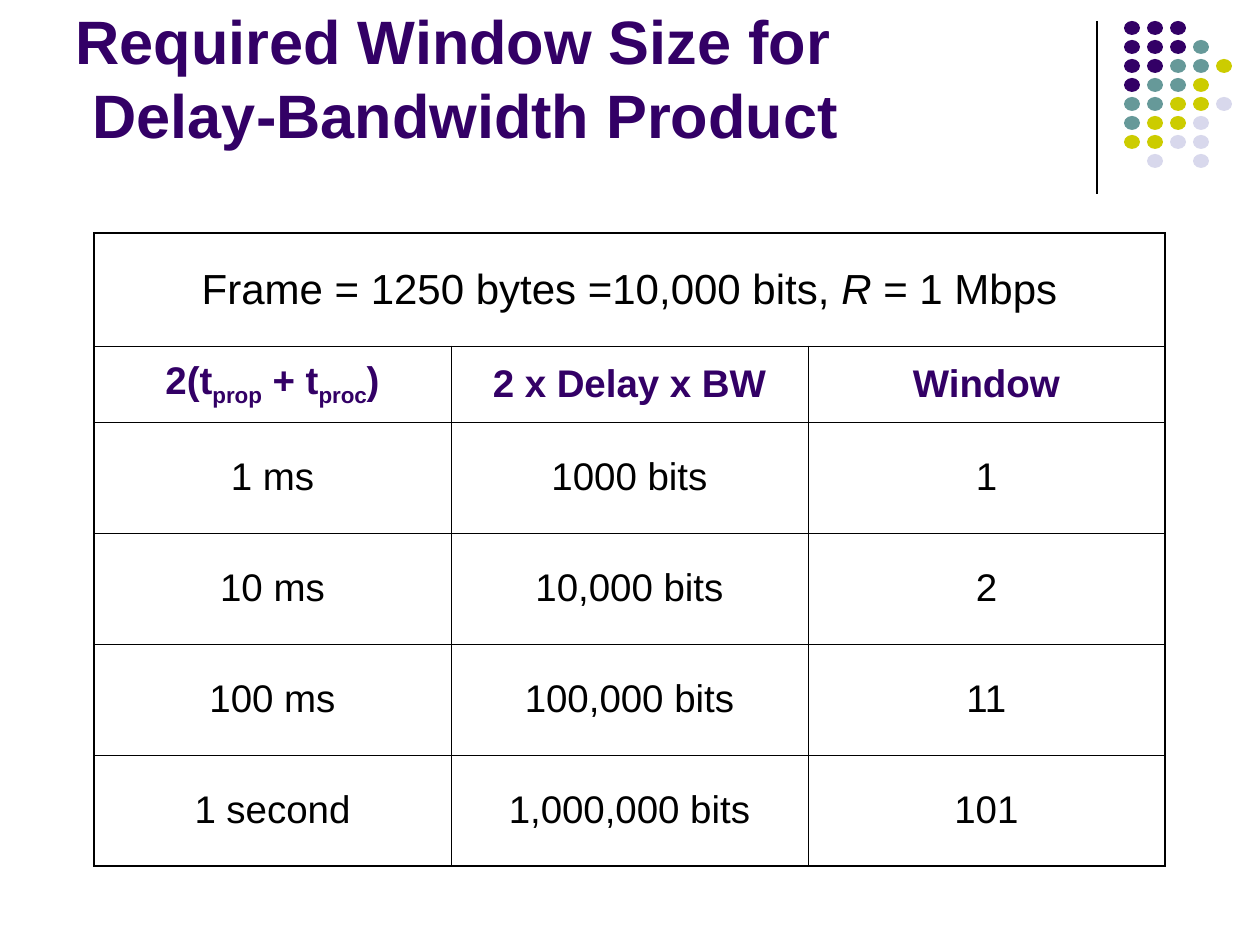
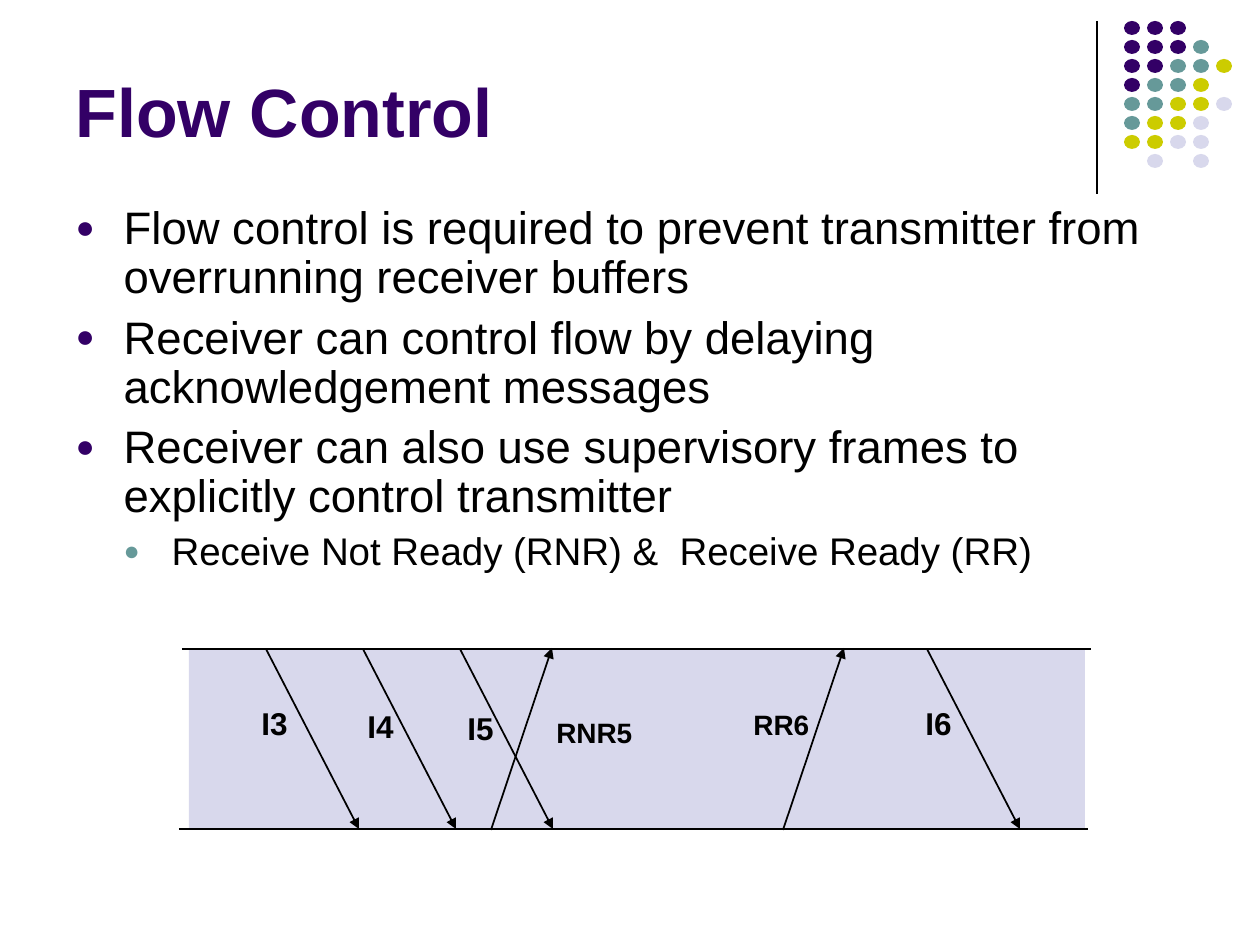
from lxml import etree
from pptx import Presentation
from pptx.dml.color import RGBColor
from pptx.enum.shapes import MSO_CONNECTOR, MSO_SHAPE
from pptx.enum.text import MSO_ANCHOR, MSO_AUTO_SIZE, PP_ALIGN
from pptx.oxml.ns import qn
from pptx.util import Pt

STRAIGHT = MSO_CONNECTOR.STRAIGHT
OVAL, RECT = MSO_SHAPE.OVAL, MSO_SHAPE.RECTANGLE
MIDDLE, BOTTOM = MSO_ANCHOR.MIDDLE, MSO_ANCHOR.BOTTOM
LEFT, CENTER = PP_ALIGN.LEFT, PP_ALIGN.CENTER
NO_FIT, GROW = MSO_AUTO_SIZE.NONE, MSO_AUTO_SIZE.SHAPE_TO_FIT_TEXT

PURPLE = RGBColor(0x33, 0x00, 0x66)
TEAL = RGBColor(0x66, 0x99, 0x99)
OLIVE = RGBColor(0xCC, 0xCC, 0x00)
LILAC = RGBColor(0xD8, 0xD8, 0xEC)
BLACK = RGBColor(0x00, 0x00, 0x00)
FONT = "Arial"

# Shared decoration: one letter per dot
DOTS = ["PPP", "PPPT", "PPTTY", "PTTY", "TTYYL", "TYYL", "YYLL", " L L"]
DOT_COLORS = {"P": PURPLE, "T": TEAL, "Y": OLIVE, "L": LILAC}

# Slide 1: each cell is a list of (text, style) runs
WINDOW_TITLE = ["Required Window Size for", " Delay-Bandwidth Product"]
CAPTION = [("Frame = 1250 bytes =10,000 bits, ", ""), ("R", "italic"), (" = 1 Mbps", "")]
HEADINGS = [
    [("2(t", ""), ("prop", "sub"), (" + t", ""), ("proc", "sub"), (")", "")],
    [("2 x Delay x BW", "")],
    [("Window", "")],
]
WINDOWS = [
    ("1 ms", "1000 bits", "1"),
    ("10 ms", "10,000 bits", "2"),
    ("100 ms", "100,000 bits", "11"),
    ("1 second", "1,000,000 bits", "101"),
]
ROW_HEIGHTS = [113, 76] + [111] * len(WINDOWS)
COL_WIDTH = 357

# Slide 2: (level, text) bullets and the frame exchange
FLOW_TITLE = ["Flow Control"]
BULLETS = [
    (0, "Flow control is required to prevent transmitter from overrunning receiver buffers"),
    (0, "Receiver can control flow by delaying acknowledgement messages"),
    (0, "Receiver can also use supervisory frames to explicitly control transmitter"),
    (1, "Receive Not Ready (RNR) &  Receive Ready (RR)"),
]
LEVELS = [(26, 6.5, PURPLE), (22, 5.5, TEAL)]  # size, space before, bullet colour
INDENT = 48
SENDER_Y, RECEIVER_Y = 649, 829
INFO_STARTS, INFO_RUN = [266, 363, 460, 927], 93
REPLY_STARTS, REPLY_RUN = [491, 783], 61
LABELS = [  # text, left, top, width, height, size
    ("I3", 249, 698, 52, 50, 18),
    ("I4", 355, 701, 52, 50, 18),
    ("I5", 455, 703, 52, 50, 18),
    ("I6", 913, 698, 52, 50, 18),
    ("RNR5", 544, 709, 101, 45, 16),
    ("RR6", 741, 701, 81, 45, 16),
]


def px(n):
    return round(n * 914400 / 126)


def box(*lengths):
    return [px(n) for n in lengths]


def add_run(p, text, size, color, bold=False):
    r = p.add_run()
    r.text = text
    r.font.name, r.font.size, r.font.bold = FONT, Pt(size), bold
    r.font.color.rgb = color
    return r


def add_filled(shapes, kind, color, *at):
    s = shapes.add_shape(kind, *box(*at))
    s.shadow.inherit = False
    s.fill.solid()
    s.fill.fore_color.rgb = color
    s.line.fill.background()


def add_line(shapes, x1, y1, x2, y2, width=1.0, arrow=False):
    line = shapes.add_connector(STRAIGHT, *box(x1, y1, x2, y2))
    line.line.color.rgb = BLACK
    line.line.width = Pt(width)
    if arrow:
        etree.SubElement(line.line._get_or_add_ln(), qn("a:tailEnd"), type="triangle")
    etree.SubElement(line.element.spPr, qn("a:effectLst"))


def add_title(slide, lines, size):
    s = slide.shapes.title
    s.left, s.top, s.width, s.height = box(63, 16, 1040, 141)
    tf = s.text_frame
    tf.vertical_anchor, tf.auto_size = BOTTOM, NO_FIT
    p = tf.paragraphs[0]
    p.alignment = LEFT
    for i, text in enumerate(lines):
        if i:
            p.add_line_break()
        add_run(p, text, size, PURPLE, True)


def decorate_master(prs, slide):
    """Draw the dots and rule once, then move them to the master."""
    group = slide.shapes.add_group_shape()
    add_line(group.shapes, 1097, 21, 1097, 194, 0.75)
    for row, letters in enumerate(DOTS):
        for col, letter in enumerate(letters):
            if letter in DOT_COLORS:
                add_filled(group.shapes, OVAL, DOT_COLORS[letter],
                           1124 + 23 * col, 21 + 19 * row, 16, 14)
    for n, item in enumerate(group.element.iter(qn("p:cNvPr")), 100):
        item.set("id", str(n))
    prs.slide_master.shapes.element.append(group.element)


def fill_cell(cell, runs, size, color, bold, outer):
    cell.vertical_anchor = MIDDLE
    p = cell.text_frame.paragraphs[0]
    p.alignment, p.space_before = CENTER, Pt(size / 4)
    for text, style in runs:
        r = add_run(p, text, size, color, bold)
        if style == "italic":
            r.font.italic = True
        elif style == "sub":
            r._r.get_or_add_rPr().set("baseline", "-25000")
    tc_pr = cell._tc.get_or_add_tcPr()
    for side in "LRTB":
        width = Pt(1.08 if side in outer else 0.45)
        ln = etree.SubElement(tc_pr, qn(f"a:ln{side}"), w=str(width))
        fill = etree.SubElement(ln, qn("a:solidFill"))
        etree.SubElement(fill, qn("a:srgbClr"), val=str(BLACK))
    cell.fill.background()


def add_window_table(slide):
    rows = [[CAPTION], HEADINGS] + [[[(text, "")] for text in row] for row in WINDOWS]
    n_rows, n_cols = len(rows), len(HEADINGS)
    table = slide.shapes.add_table(
        n_rows, n_cols, *box(94, 233, COL_WIDTH * n_cols, sum(ROW_HEIGHTS))).table
    table.first_row = table.horz_banding = False
    for col in table.columns:
        col.width = px(COL_WIDTH)
    table.cell(0, 0).merge(table.cell(0, n_cols - 1))
    for i, row in enumerate(rows):
        table.rows[i].height = px(ROW_HEIGHTS[i])
        heading = i == 1
        for j, runs in enumerate(row):
            cell = table.cell(i, j)
            edges = {"L": j == 0, "R": j + cell.span_width == n_cols,
                     "T": i == 0, "B": i == n_rows - 1}
            fill_cell(cell, runs, 22 if i else 24, PURPLE if heading else BLACK, heading,
                      [side for side, on_edge in edges.items() if on_edge])


def add_bullets(slide):
    s = slide.placeholders[1]
    s.left, s.top, s.width, s.height = box(63, 199, 1134, 389)
    tf = s.text_frame
    tf.auto_size = NO_FIT
    for i, (level, text) in enumerate(BULLETS):
        p = tf.add_paragraph() if i else tf.paragraphs[0]
        size, before, color = LEVELS[level]
        p.level, p.line_spacing, p.space_before = level, 0.9, Pt(before)
        p_pr = p._p.get_or_add_pPr()
        p_pr.set("marL", str(px(INDENT * (level + 1))))
        p_pr.set("indent", str(-px(INDENT)))
        bullet_color = etree.SubElement(p_pr, qn("a:buClr"))
        etree.SubElement(bullet_color, qn("a:srgbClr"), val=str(color))
        etree.SubElement(p_pr, qn("a:buSzPct"), val="70000")
        etree.SubElement(p_pr, qn("a:buFont"), typeface=FONT)
        etree.SubElement(p_pr, qn("a:buChar"), char="●")
        add_run(p, text, size, BLACK)


def add_exchange(slide):
    shapes = slide.shapes.add_group_shape().shapes
    # Channel between the sender and receiver lines
    add_filled(shapes, RECT, LILAC, 189, SENDER_Y, 896, RECEIVER_Y - SENDER_Y)
    for x, y in [(182, SENDER_Y), (179, RECEIVER_Y)]:
        add_line(shapes, x, y, x + 909, y)
    # Information frames go down, supervisory frames go up
    for x in INFO_STARTS:
        add_line(shapes, x, SENDER_Y, x + INFO_RUN, RECEIVER_Y, arrow=True)
    for x in REPLY_STARTS:
        add_line(shapes, x, RECEIVER_Y + 1, x + REPLY_RUN, SENDER_Y - 1, arrow=True)
    for text, left, top, width, height, size in LABELS:
        tf = shapes.add_textbox(*box(left, top, width, height)).text_frame
        tf.word_wrap, tf.auto_size = False, GROW
        add_run(tf.paragraphs[0], text, size, BLACK, True)


def main():
    prs = Presentation()
    prs.slide_width, prs.slide_height = box(1260, 945)

    # Slide 1: window sizes
    slide = prs.slides.add_slide(prs.slide_layouts[5])
    decorate_master(prs, slide)
    add_title(slide, WINDOW_TITLE, 35)
    add_window_table(slide)

    # Slide 2: flow control
    slide = prs.slides.add_slide(prs.slide_layouts[1])
    add_title(slide, FLOW_TITLE, 39)
    add_bullets(slide)
    add_exchange(slide)

    prs.save("out.pptx")


if __name__ == "__main__":
    main()
